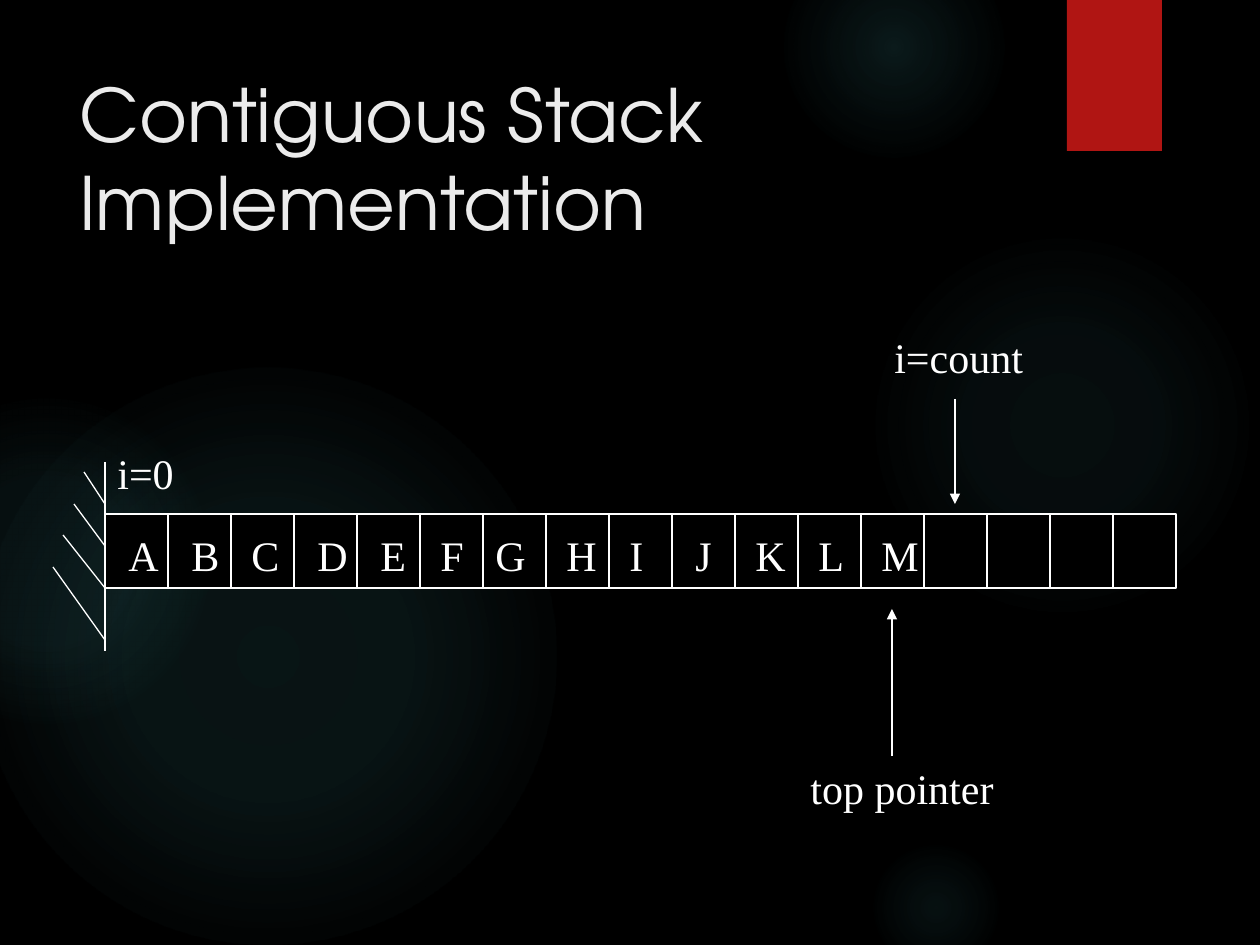
import pptx
import pptx.util
import pptx.dml.color
import pptx.oxml
import pptx.oxml.ns
import pptx.enum.shapes
import pptx.enum.text
from lxml import etree

RGBColor = pptx.dml.color.RGBColor
SHAPE = pptx.enum.shapes.MSO_SHAPE
BLACK = RGBColor(0x00, 0x00, 0x00)
WHITE = RGBColor(0xFF, 0xFF, 0xFF)
RED = RGBColor(0xB0, 0x15, 0x13)
TITLE_GRAY = RGBColor(0xEB, 0xEB, 0xEB)
GLOW = RGBColor(0x50, 0xB9, 0xC1)

SCALE = 914400 / 126
LEFT, TOP, BOTTOM = 105, 514, 588
CELL, CELLS = 63, 17
TEXT_HEIGHT = 63

GLOWS = [
    (868, 231, 388, [(0, 7), (36, 6), (69, 0)]),
    (784, -63, 220, [(0, 14), (36, 7), (73, 0)]),
    (868, 840, 136, [(0, 9), (36, 5), (66, 0)]),
    (-21, 368, 577, [(0, 11), (36, 10), (75, 0)]),
    (-116, 399, 325, [(0, 8), (36, 8), (72, 0)]),
]
LETTERS = [
    ("A", 116, 55), ("B", 179, 53), ("C", 239, 53), ("D", 305, 55),
    ("E", 368, 50), ("F", 428, 49), ("G", 483, 55), ("H", 554, 55),
    ("I", 617, 39), ("J", 683, 42), ("K", 743, 55), ("L", 806, 50),
    ("M", 869, 63),
]
HATCHES = [(84, 472, 504), (74, 504, 546), (63, 535, 588), (53, 567, 640)]


def px(n):
    return pptx.util.Emu(round(n * SCALE))


def add_box(s, kind, x, y, w, h, fill, line=None):
    sp = s.shapes.add_shape(kind, px(x), px(y), px(w), px(h))
    sp.shadow.inherit = False
    sp.fill.solid()
    sp.fill.fore_color.rgb = fill
    if line is None:
        sp.line.fill.background()
    else:
        sp.line.color.rgb = line
        sp.line.width = pptx.util.Pt(0.75)
    return sp


def add_glow(s, x, y, size, stops):
    sp = add_box(s, SHAPE.OVAL, x, y, size, size, GLOW)
    gs = "".join(
        f'<a:gs pos="{pos * 1000}"><a:srgbClr val="{GLOW}">'
        f'<a:alpha val="{alpha * 1000}"/></a:srgbClr></a:gs>'
        for pos, alpha in stops
    )
    grad = pptx.oxml.parse_xml(
        f'<a:gradFill {pptx.oxml.ns.nsdecls("a")}><a:gsLst>{gs}</a:gsLst>'
        '<a:path path="circle"><a:fillToRect l="50000" t="50000" '
        'r="50000" b="50000"/></a:path></a:gradFill>'
    )
    spPr = sp.fill._xPr
    spPr.replace(spPr.find(pptx.oxml.ns.qn("a:solidFill")), grad)


def add_line(s, x1, y1, x2, y2, arrow=False):
    c = s.shapes.add_connector(
        pptx.enum.shapes.MSO_CONNECTOR.STRAIGHT, px(x1), px(y1), px(x2), px(y2)
    )
    c.line.color.rgb = WHITE
    c.line.width = pptx.util.Pt(0.75)
    if arrow:
        etree.SubElement(
            c.line._get_or_add_ln(), pptx.oxml.ns.qn("a:tailEnd"), type="triangle"
        )
    etree.SubElement(c._element.spPr, pptx.oxml.ns.qn("a:effectLst"))


def add_text(s, text, x, y, w, h=TEXT_HEIGHT, size=24,
             font="Times New Roman", color=WHITE, wrap=False):
    tf = s.shapes.add_textbox(px(x), px(y), px(w), px(h)).text_frame
    tf.word_wrap = wrap
    if not wrap:
        tf.auto_size = pptx.enum.text.MSO_AUTO_SIZE.SHAPE_TO_FIT_TEXT
    tf.text = text
    f = tf.paragraphs[0].runs[0].font
    f.name = font
    f.size = pptx.util.Pt(size)
    f.color.rgb = color


def add_stack(s):
    add_box(s, SHAPE.RECTANGLE, LEFT, TOP, CELL * CELLS, BOTTOM - TOP, BLACK, WHITE)
    for i in range(1, CELLS):
        x = LEFT + CELL * i
        add_line(s, x, TOP, x, BOTTOM)
    for letter, x, w in LETTERS:
        add_text(s, letter, x, 523, w)


def add_wall(s):
    add_line(s, LEFT, 462, LEFT, 651)
    for x, y1, y2 in HATCHES:
        add_line(s, x, y1, LEFT, y2)


def main():
    prs = pptx.Presentation()
    prs.slide_width, prs.slide_height = px(1260), px(945)
    s = prs.slides.add_slide(prs.slide_layouts[6])
    s.background.fill.solid()
    s.background.fill.fore_color.rgb = BLACK

    for glow in GLOWS:
        add_glow(s, *glow)
    add_box(s, SHAPE.RECTANGLE, 1067, 0, 95, 151, RED)
    add_text(s, "Contiguous Stack Implementation", 67, 63, 973, 193, 42,
             "TeX Gyre Adventor", TITLE_GRAY, wrap=True)

    add_stack(s)
    add_line(s, 892, 756, 892, 609, arrow=True)
    add_text(s, "top pointer", 798, 756, 208)
    add_wall(s)
    add_text(s, "i=0", 105, 441, 82)
    add_text(s, "i=count", 882, 325, 154)
    add_line(s, 955, 399, 955, 504, arrow=True)
    prs.save("out.pptx")


if __name__ == "__main__":
    main()
